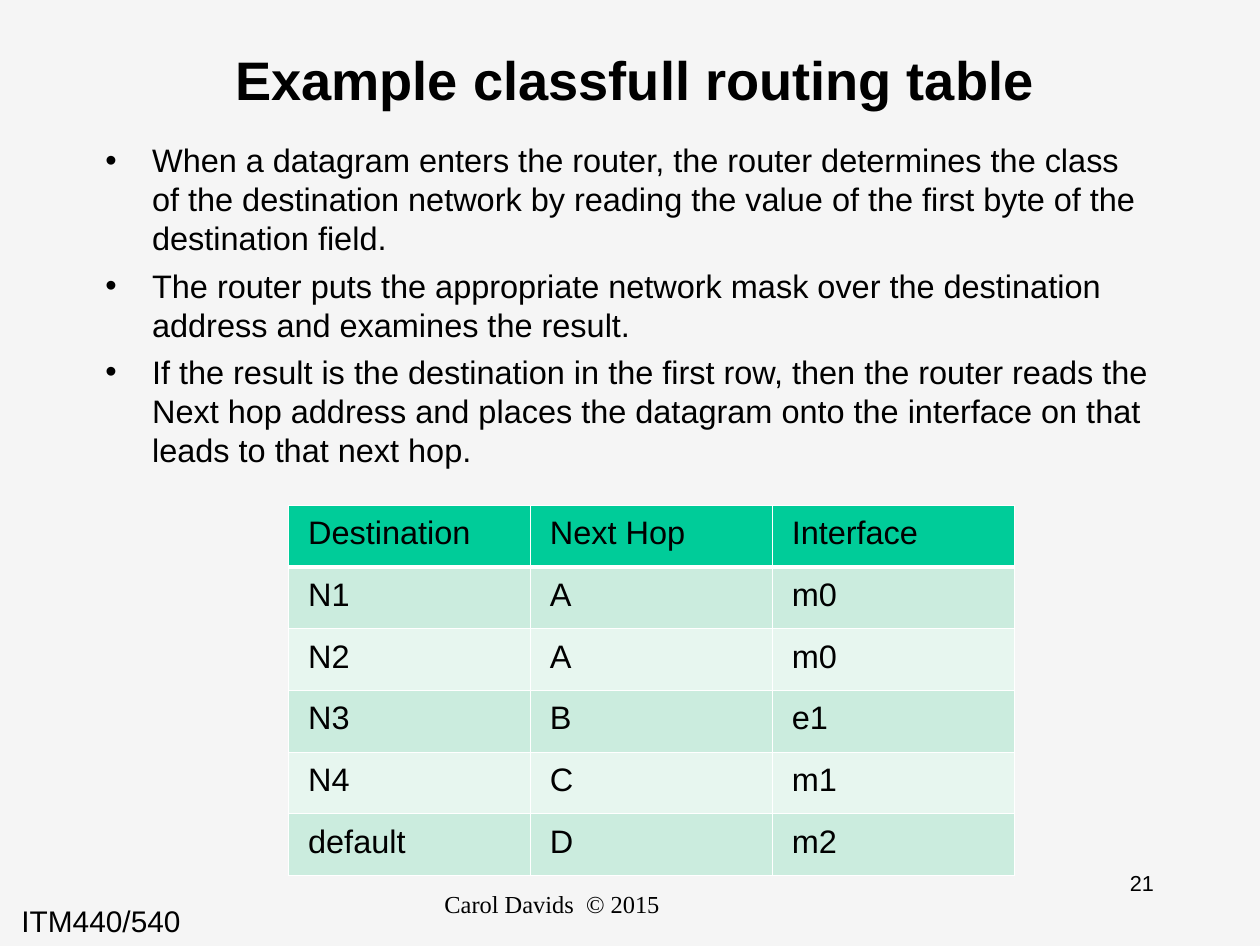
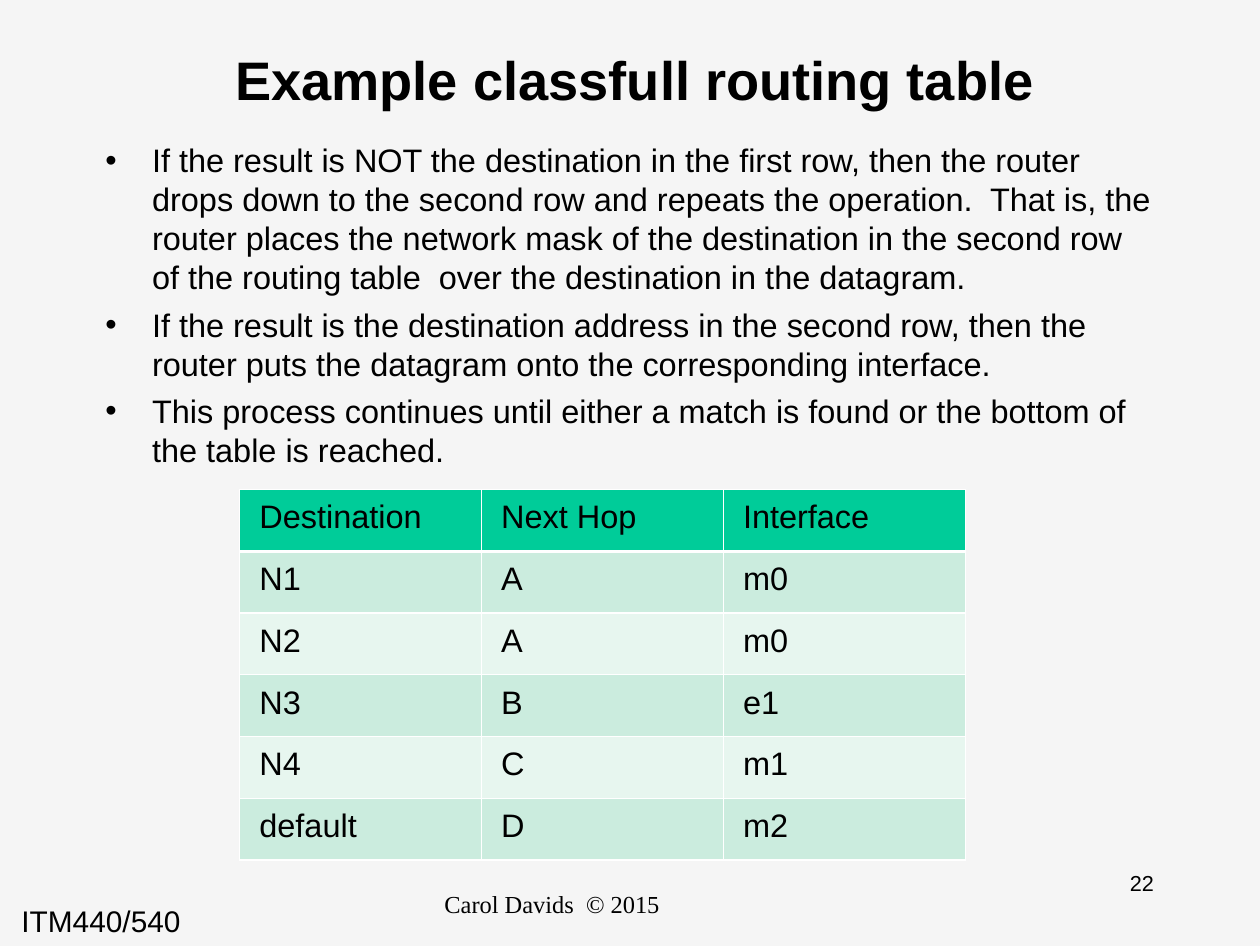
from pptx import Presentation
from pptx import util as u
from pptx.dml.color import RGBColor
from pptx.enum import text
from pptx.oxml import parse_xml
from pptx.oxml.ns import nsdecls, qn

# Content
TITLE = "Example classfull routing table"
COURSE = "ITM440/540"
CREDIT = "Carol Davids  © 2015"
ROUTES = [
    ("Destination", "Next Hop", "Interface"),
    ("N1", "A", "m0"),
    ("N2", "A", "m0"),
    ("N3", "B", "e1"),
    ("N4", "C", "m1"),
    ("default", "D", "m2"),
]
SLIDES = [
    dict(number=21, table=(1.48, 2.59), points=[
        "When a datagram enters the router, the router determines the class of the destination "
        "network by reading the value of the first byte of the destination field.",
        "The router puts the appropriate network mask over the destination address and examines "
        "the result.",
        "If the result is the destination in the first row, then the router reads the Next hop "
        "address and places the datagram onto the interface on that leads to that next hop.",
    ]),
    dict(number=22, table=(1.23, 2.51), points=[
        "If the result is NOT the destination in the first row, then the router drops down to the "
        "second row and repeats the operation.  That is, the router places the network mask of "
        "the destination in the second row of the routing table  over the destination in the "
        "datagram.",
        "If the result is the destination address in the second row, then the router puts the "
        "datagram onto the corresponding interface.",
        "This process continues until either a match is found or the bottom of the table is "
        "reached.",
    ]),
]

# Shared style
PAPER = RGBColor(0xF5, 0xF5, 0xF5)
INK = RGBColor(0, 0, 0)
HEAD = RGBColor(0x00, 0xCC, 0x99)
BANDS = [RGBColor(0xCB, 0xEC, 0xDE), RGBColor(0xE7, 0xF6, 0xEF)]
SANS, SERIF = "Arial", "Times New Roman"
CENTER = text.PP_ALIGN.CENTER
WIDE, TALL = 3.72, 1.9
THIN, THICK = 0.45, 1.47


def style(para, size, face=SANS, bold=False):
    font = para.font
    font.name, font.size, font.bold = face, u.Pt(size), bold
    font.color.rgb = INK


def add_text(slide, box, lines, size, face=SANS, bold=False, align=None,
             pad=(0.06, 0.03), middle=False, bullet=False):
    frame = slide.shapes.add_textbox(*map(u.Inches, box)).text_frame
    frame.word_wrap = True
    frame.margin_left = frame.margin_right = u.Inches(pad[0])
    frame.margin_top = frame.margin_bottom = u.Inches(pad[1])
    if middle:
        frame.vertical_anchor = text.MSO_ANCHOR.MIDDLE
    for i, line in enumerate(lines):
        para = frame.add_paragraph() if i else frame.paragraphs[0]
        para.text = line
        para.alignment = align
        if i:
            para.space_before = u.Pt(3)
        if bullet:
            add_bullet(para)
        style(para, size, face, bold)


def add_bullet(para):
    props = para._p.get_or_add_pPr()
    indent = u.Inches(0.24)
    props.set("marL", str(indent))
    props.set("indent", str(-indent))
    props.append(parse_xml(f'<a:buFont {nsdecls("a")} typeface="{SANS}"/>'))
    props.append(parse_xml(f'<a:buChar {nsdecls("a")} char="•"/>'))


def set_edges(cell, row):
    """White cell borders, thicker under the header row."""
    props = cell._tc.get_or_add_tcPr()
    widths = dict(lnL=THIN, lnR=THIN, lnT=THICK if row == 1 else THIN,
                  lnB=THICK if row == 0 else THIN)
    for spot, (tag, width) in enumerate(widths.items()):
        props.insert(spot, parse_xml(
            f'<a:{tag} {nsdecls("a")} w="{u.Pt(width)}"><a:solidFill>'
            f'<a:srgbClr val="FFFFFF"/></a:solidFill></a:{tag}>'))


def add_routes(slide, left, top):
    grid = slide.shapes.add_table(len(ROUTES), len(ROUTES[0]),
                                  *map(u.Inches, (left, top, WIDE, TALL))).table
    grid.horz_banding = False
    for r, route in enumerate(ROUTES):
        for c, value in enumerate(route):
            cell = grid.cell(r, c)
            cell.text = value
            style(cell.text_frame.paragraphs[0], 12)
            cell.fill.solid()
            cell.fill.fore_color.rgb = BANDS[(r - 1) % 2] if r else HEAD
            set_edges(cell, r)


def add_frame(slide, number):
    """Footers and title common to every slide."""
    add_text(slide, (0, 4.58, 2.1, 0.29), [COURSE], 11, pad=(0.11, 0.05))
    add_text(slide, (5.35, 4.43, 1.01, 0.32), [str(number)], 8, align=CENTER)
    add_text(slide, (1.7, 4.53, 2.26, 0.32), [CREDIT], 9, SERIF, align=CENTER)
    add_text(slide, (0.51, 0, 5.49, 0.81), [TITLE], 20, bold=True,
             align=CENTER, middle=True)


def main():
    prs = Presentation()
    prs.slide_width, prs.slide_height = u.Inches(6.46), u.Inches(4.85)
    paper = prs.slide_master.background.fill
    paper.solid()
    paper.fore_color.rgb = PAPER
    for page in SLIDES:
        slide = prs.slides.add_slide(prs.slide_layouts[6])
        add_frame(slide, page["number"])
        add_text(slide, (0.48, 0.69, 5.49, 1.8), page["points"], 12, bullet=True)
        add_routes(slide, *page["table"])
    prs.save("out.pptx")


if __name__ == "__main__":
    main()
